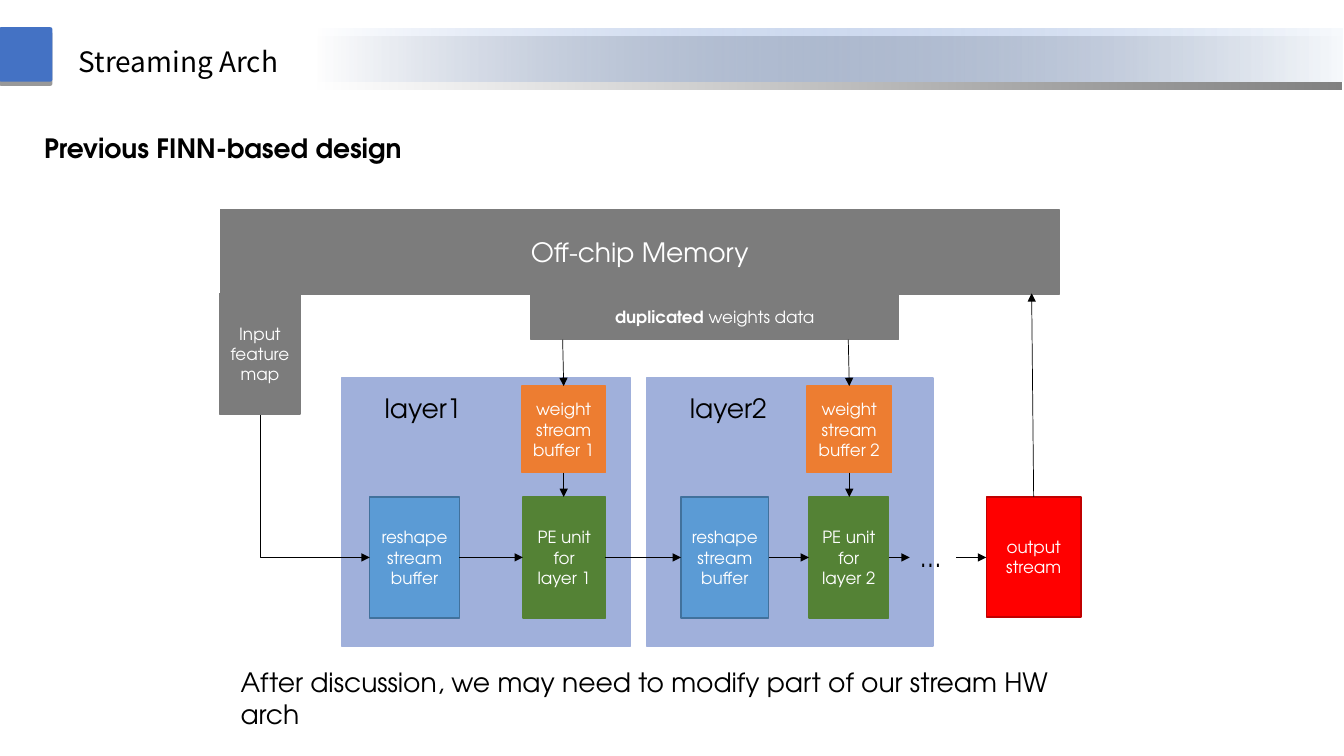
from pptx import Presentation
from pptx.dml.color import RGBColor
from pptx.enum.shapes import MSO_CONNECTOR, MSO_SHAPE
from pptx.enum.text import MSO_ANCHOR, MSO_AUTO_SIZE, PP_ALIGN
from pptx.oxml import parse_xml
from pptx.oxml.ns import nsdecls
from pptx.util import Inches, Pt

RECT, ROUND = MSO_SHAPE.RECTANGLE, MSO_SHAPE.ROUNDED_RECTANGLE
LINE, ELBOW = MSO_CONNECTOR.STRAIGHT, MSO_CONNECTOR.ELBOW
TOP, MIDDLE = MSO_ANCHOR.TOP, MSO_ANCHOR.MIDDLE
LEFT, CENTER = PP_ALIGN.LEFT, PP_ALIGN.CENTER
NO_FIT = MSO_AUTO_SIZE.NONE
BODY, HEAD = "TeX Gyre Adventor", "Noto Sans CJK SC"
WHITE, BLACK, GRAY, BLUE = "FFFFFF", "000000", "7C7C7C", "4472C4"
LILAC, SKY, NAVY = "A0B0DB", "5B9BD5", "41719C"
ORANGE, GREEN, RED, WINE = "ED7D31", "548235", "FF0000", "C00000"
FLOW = 5.53  # height of the row of arrows through the layers


def color(code):
    return RGBColor.from_string(code)


def write(shape, *runs, size=12, tint=WHITE, font=BODY, align=CENTER,
          anchor=MIDDLE, wrap=True, space=1):
    """Fill a shape with one paragraph; each run is text or (text, bold)."""
    frame = shape.text_frame
    frame.auto_size, frame.word_wrap = NO_FIT, wrap
    frame.vertical_anchor = anchor
    par = frame.paragraphs[0]
    par.alignment, par.line_spacing = align, space
    for item in runs:
        text, bold = (item, False) if isinstance(item, str) else item
        run = par.add_run()
        run.text = text
        run.font.size, run.font.name, run.font.bold = Pt(size), font, bold
        run.font.color.rgb = color(tint)


def label(slide, text, x, y, w, h=0.42):
    box = slide.shapes.add_textbox(*map(Inches, (x, y, w, h)))
    write(box, text, size=19, tint=BLACK, align=LEFT, anchor=TOP)


def block(slide, x, y, w, h, fill, edge=None, kind=RECT):
    shape = slide.shapes.add_shape(kind, *map(Inches, (x, y, w, h)))
    shape.shadow.inherit = False
    shape.fill.solid()
    shape.fill.fore_color.rgb = color(fill)
    shape.line.color.rgb = color(edge or fill)
    shape.line.width = Pt(1)
    return shape


def shade(shape, alpha, dist, angle):
    """Give a shape a sharp black shadow, offset in points."""
    props = shape.element.spPr
    props.remove(props.find("{*}effectLst"))
    props.append(parse_xml(
        f'<a:effectLst {nsdecls("a")}><a:outerShdw blurRad="0" '
        f'dist="{Pt(dist)}" dir="{angle * 60000}" algn="ctr" rotWithShape="0">'
        f'<a:srgbClr val="{BLACK}"><a:alpha val="{alpha * 1000}"/></a:srgbClr>'
        '</a:outerShdw></a:effectLst>'))


def arrow(slide, x1, y1, x2, y2, kind=LINE):
    link = slide.shapes.add_connector(kind, *map(Inches, (x1, y1, x2, y2)))
    link.line.color.rgb = color(BLACK)
    link.line.width = Pt(0.5)
    ns = nsdecls("a")
    link.line._get_or_add_ln().append(
        parse_xml(f'<a:tailEnd {ns} type="triangle"/>'))
    link.element.spPr.append(parse_xml(f'<a:effectLst {ns}/>'))
    return link


def corner(slide, x1, y1, x2, y2):
    """Arrow that runs down, then right: a turned, mirrored single bend."""
    cx, cy = (x1 + x2) / 2, (y1 + y2) / 2
    dx, dy = (y2 - y1) / 2, (x2 - x1) / 2
    link = arrow(slide, cx + dx, cy - dy, cx - dx, cy + dy, ELBOW)
    props = link.element.spPr
    props.find("{*}prstGeom").set("prst", "bentConnector2")
    props.find("{*}xfrm").set("rot", str(270 * 60000))


def header(slide, x, y, w):
    band = block(slide, x + 3.1, y + 0.01, w - 3.1, 0.53, BLUE)
    band.line.fill.background()
    band.fill.gradient()
    grad = band.element.spPr.find("{*}gradFill")
    band.element.spPr.replace(grad, parse_xml(
        f'<a:gradFill {nsdecls("a")} rotWithShape="1"><a:gsLst>'
        '<a:gs pos="0"><a:srgbClr val="F7FAFD"/></a:gs>'
        f'<a:gs pos="100000"><a:srgbClr val="{BLUE}"><a:alpha val="0"/>'
        '</a:srgbClr></a:gs></a:gsLst><a:lin ang="10800000" scaled="0"/>'
        '</a:gradFill>'))
    shade(band, 50, 6, 97)
    mark = block(slide, x - 0.01, y, 0.53, 0.54, BLUE, kind=ROUND)
    mark.adjustments[0] = 0.04
    mark.line.fill.background()
    shade(mark, 40, 3, 90)
    title = slide.shapes.title
    title.left, title.top = Inches(x + 0.68), Inches(y)
    title.width, title.height = Inches(2.23), Inches(0.6)
    frame = title.text_frame
    frame.margin_top = frame.margin_bottom = 0
    write(title, "Streaming Arch", size=20, tint=BLACK, font=HEAD,
          align=LEFT, anchor=TOP, wrap=False, space=1.5)


def memory(slide, x, y, w):
    low = y + 0.83
    write(block(slide, x - 0.01, low, 0.8, 1.2, GRAY), "Input feature map")
    write(block(slide, x + 3.08, low, 3.65, 0.46, GRAY),
          ("duplicated", True), " weights data")
    write(block(slide, x, y, w, 0.84, GRAY), "Off-chip Memory", size=19)


def layer(slide, num, x, y, w, shape, weight, unit):
    """Draw one layer; shape, weight and unit are (offset, width) pairs."""
    block(slide, x, y, w, 2.66, LILAC)
    label(slide, f"layer{num}", x + 0.33, y + 0.09, 1.05)
    parts = ((shape, 1.18, 1.2, SKY, NAVY, "reshape stream buffer"),
             (weight, 0.08, 0.86, ORANGE, ORANGE, f"weight stream buffer {num}"),
             (unit, 1.18, 1.2, GREEN, GREEN, f"PE unit for layer {num}"))
    for (dx, width), dy, high, fill, edge, text in parts:
        write(block(slide, x + dx, y + dy, width, high, fill, edge), text)
    mid = x + weight[0] + weight[1] / 2
    arrow(slide, mid - 0.01, y - 0.38, mid, y + 0.08)
    arrow(slide, mid, y + 0.94, mid, y + 1.18)
    arrow(slide, x + sum(shape), FLOW, x + unit[0], FLOW)


def output(slide, x, y):
    label(slide, "...", x - 0.76, y + 0.39, 0.46)
    write(block(slide, x, y, 0.94, 1.19, RED, WINE), "output stream")
    arrow(slide, x - 0.3, FLOW, x, FLOW)
    arrow(slide, x + 0.47, y, x + 0.45, 2.91)


def main():
    deck = Presentation()
    deck.slide_width, deck.slide_height = Inches(13.34), Inches(7.5)
    slide = deck.slides.add_slide(deck.slide_layouts[5])
    header(slide, 0, 0.27, 13.33)
    box = slide.shapes.add_textbox(*map(Inches, (0.34, 1.26, 3.8, 0.74)))
    write(box, ("Previous FINN-based design", True), size=19, tint=BLACK,
          align=LEFT, anchor=TOP)
    memory(slide, 2.19, 2.08, 8.32)
    layer(slide, 1, 3.39, 3.75, 2.87, (0.28, 0.89), (1.79, 0.83), (1.8, 0.82))
    layer(slide, 2, 6.42, 3.75, 2.84, (0.34, 0.87), (1.59, 0.84), (1.61, 0.79))
    output(slide, 9.79, 4.93)
    corner(slide, 2.58, 4.12, 3.67, FLOW)
    arrow(slide, 6.01, FLOW, 6.76, FLOW)
    arrow(slide, 8.82, FLOW, 9.03, FLOW)
    label(slide, "After discussion, we may need to modify part of our stream HW arch",
          2.29, 6.56, 8.67)
    deck.save("out.pptx")


if __name__ == "__main__":
    main()
